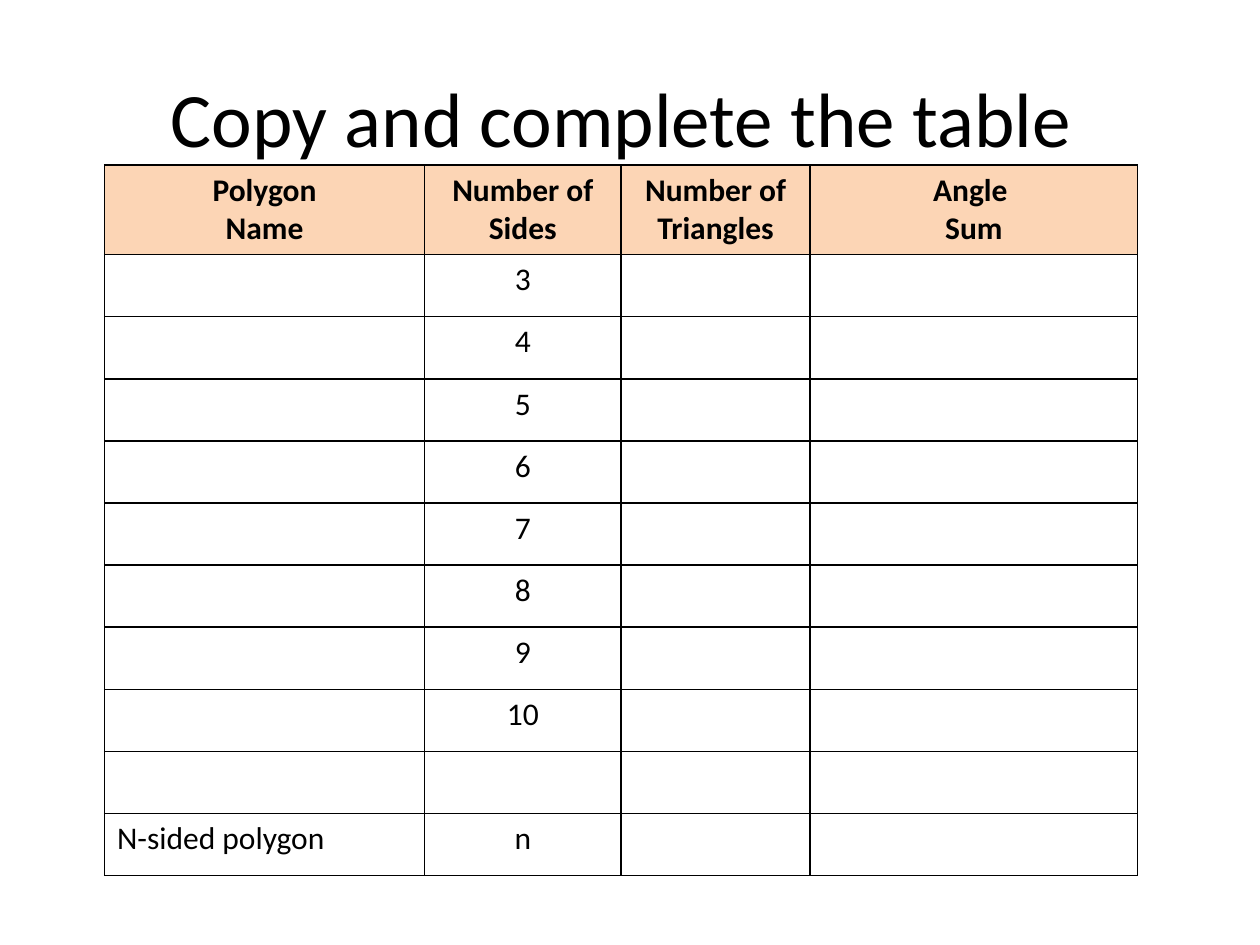
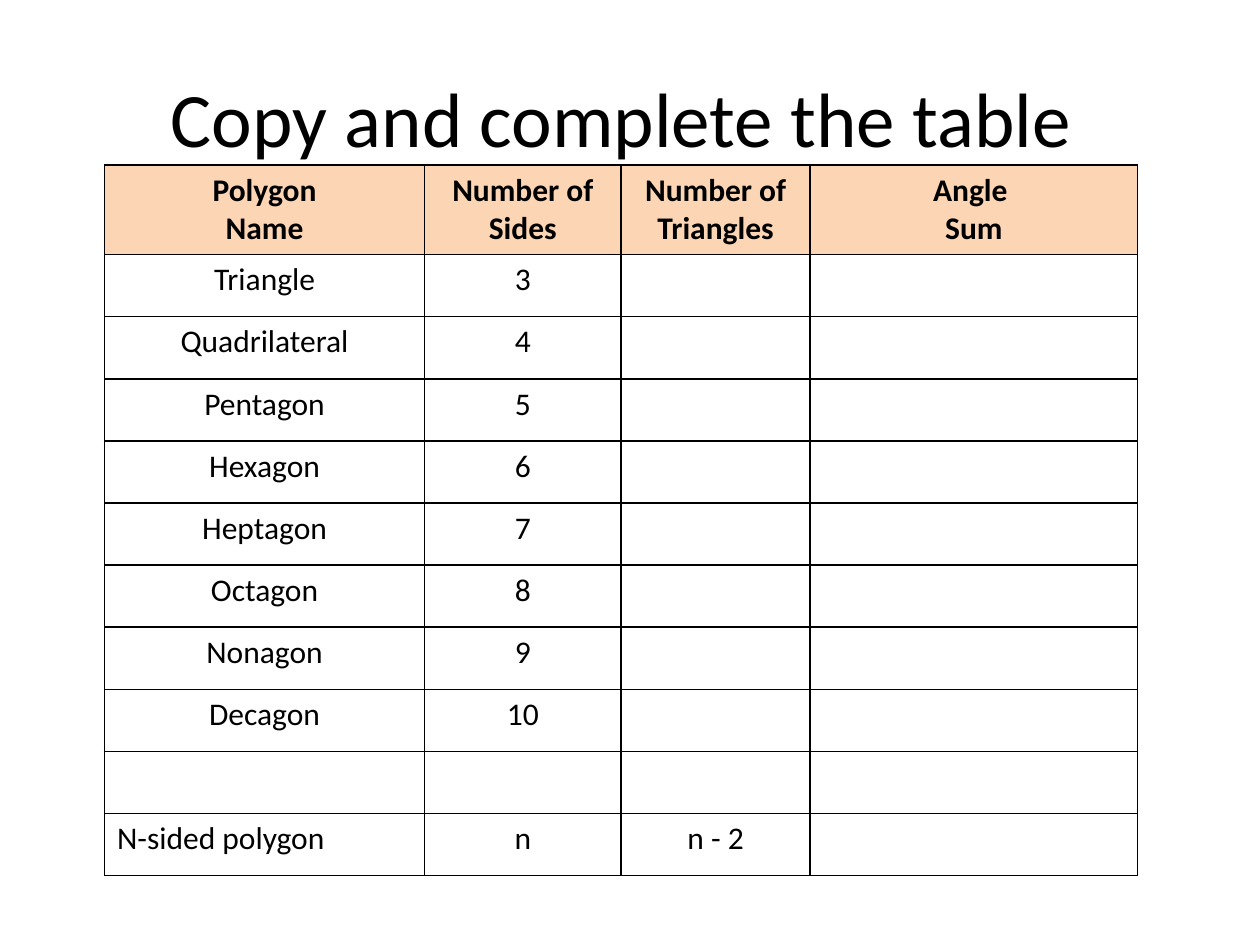
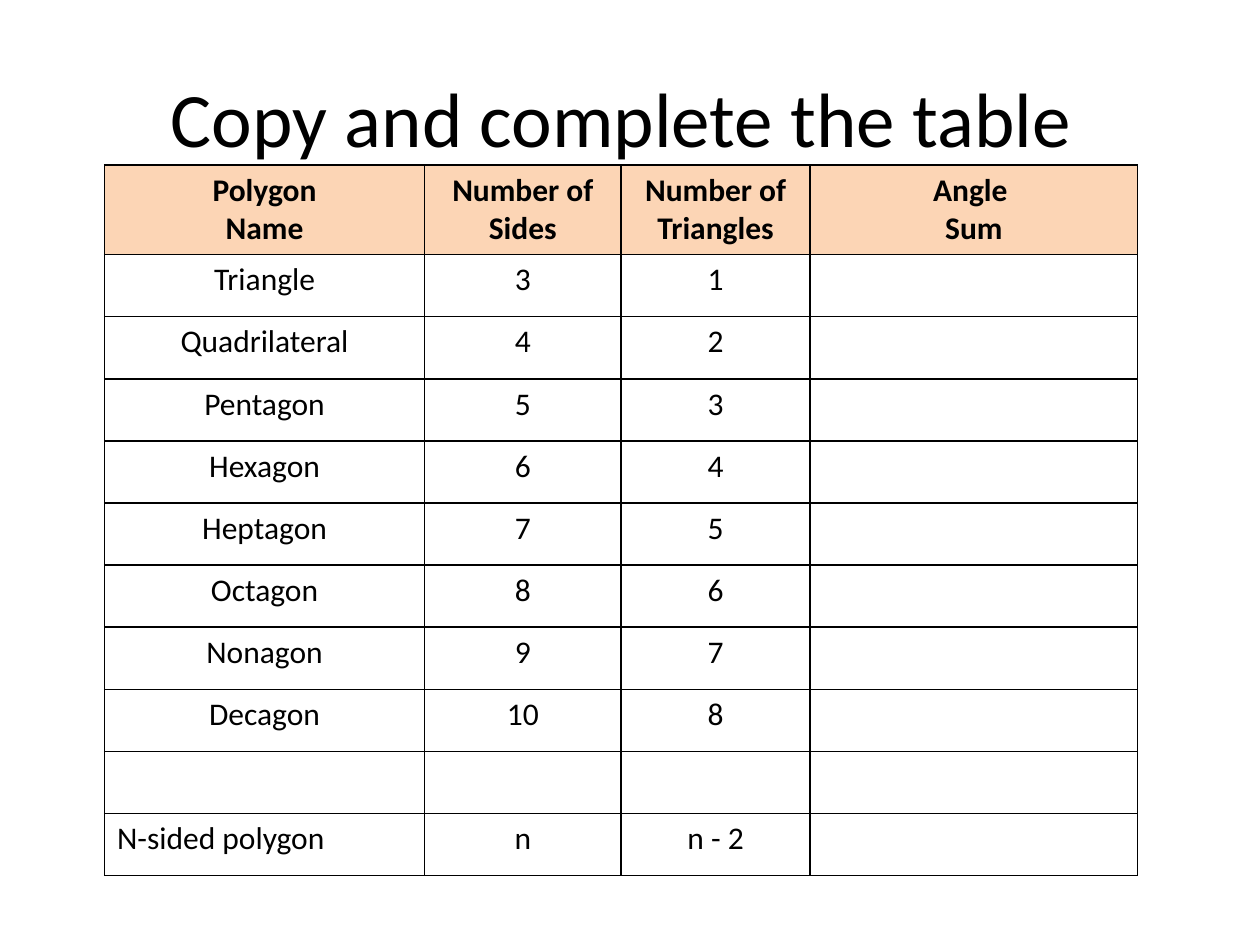
from lxml import etree
from pptx import Presentation
from pptx.dml.color import RGBColor
from pptx.enum.text import MSO_ANCHOR, PP_ALIGN
from pptx.oxml.ns import qn
from pptx.util import Inches, Pt

LEFT, CENTER = PP_ALIGN.LEFT, PP_ALIGN.CENTER
MIDDLE = MSO_ANCHOR.MIDDLE

FONT = "Calibri"
BLACK, PEACH = "000000", "FCD5B5"

TITLE = "Copy and complete the table "
HEADERS = ["Polygon\nName", "Number of Sides", "Number of Triangles", "Angle \nSum"]
POLYGONS = ["Triangle", "Quadrilateral", "Pentagon", "Hexagon",
            "Heptagon", "Octagon", "Nonagon", "Decagon"]
GENERAL = "N-sided polygon"
FIRST_SIDES = 3

# What each slide reveals: polygon names, general rule, triangle counts
STAGES = [
    (False, False, False),
    (True, True, False),
    (True, True, True),
]

TITLE_BOX = (0.5, 0.3, 9, 1.25)
TABLE_LEFT, TABLE_TOP, TABLE_HEIGHT = 0.83, 1.31, 5.64
COLUMNS = [2.54, 1.56, 1.5, 2.6]
HEADER_HEIGHT = 0.71


def color(value):
    return RGBColor.from_string(value)


def table_rows(names, rule, triangles):
    rows = [HEADERS]
    for sides, name in enumerate(POLYGONS, FIRST_SIDES):
        rows.append([name if names else "", str(sides),
                     str(sides - 2) if triangles else "", ""])
    rows.append([""] * len(HEADERS))
    rows.append([GENERAL, "n", "n - 2" if rule else "", ""])
    return rows


def format_text(tf, size, align=CENTER, bold=False):
    for p in tf.paragraphs:
        p.alignment = align
        for r in p.runs:
            r.font.name, r.font.size, r.font.bold = FONT, Pt(size), bold
            r.font.color.rgb = color(BLACK)


def add_borders(cell, width=1):
    tc_pr = cell._tc.get_or_add_tcPr()
    for i, side in enumerate(("lnL", "lnR", "lnT", "lnB")):
        ln = etree.Element(qn(f"a:{side}"), w=str(Pt(width)))
        fill = etree.SubElement(ln, qn("a:solidFill"))
        etree.SubElement(fill, qn("a:srgbClr"), val=BLACK)
        tc_pr.insert(i, ln)


def add_title(s):
    title = s.shapes.title
    title.left, title.top, title.width, title.height = map(Inches, TITLE_BOX)
    tf = title.text_frame
    tf.text = TITLE
    tf.vertical_anchor = MIDDLE
    format_text(tf, 44)


def add_polygon_table(s, rows):
    table = s.shapes.add_table(
        len(rows), len(COLUMNS), Inches(TABLE_LEFT), Inches(TABLE_TOP),
        Inches(sum(COLUMNS)), Inches(TABLE_HEIGHT)).table
    table.first_row = table.horz_banding = False
    for column, width in zip(table.columns, COLUMNS):
        column.width = Inches(width)
    row_height = (TABLE_HEIGHT - HEADER_HEIGHT) / (len(rows) - 1)
    for i, texts in enumerate(rows):
        header = i == 0
        table.rows[i].height = Inches(HEADER_HEIGHT if header else row_height)
        for j, text in enumerate(texts):
            cell = table.cell(i, j)
            cell.text_frame.text = text
            format_text(cell.text_frame, 18, LEFT if text == GENERAL else CENTER, header)
            if header:
                cell.fill.solid()
                cell.fill.fore_color.rgb = color(PEACH)
            else:
                cell.fill.background()
            add_borders(cell)


def main():
    prs = Presentation()
    prs.slide_width, prs.slide_height = Inches(10), Inches(7.5)
    for stage in STAGES:
        s = prs.slides.add_slide(prs.slide_layouts[5])
        add_title(s)
        add_polygon_table(s, table_rows(*stage))
    prs.save("out.pptx")


if __name__ == "__main__":
    main()
